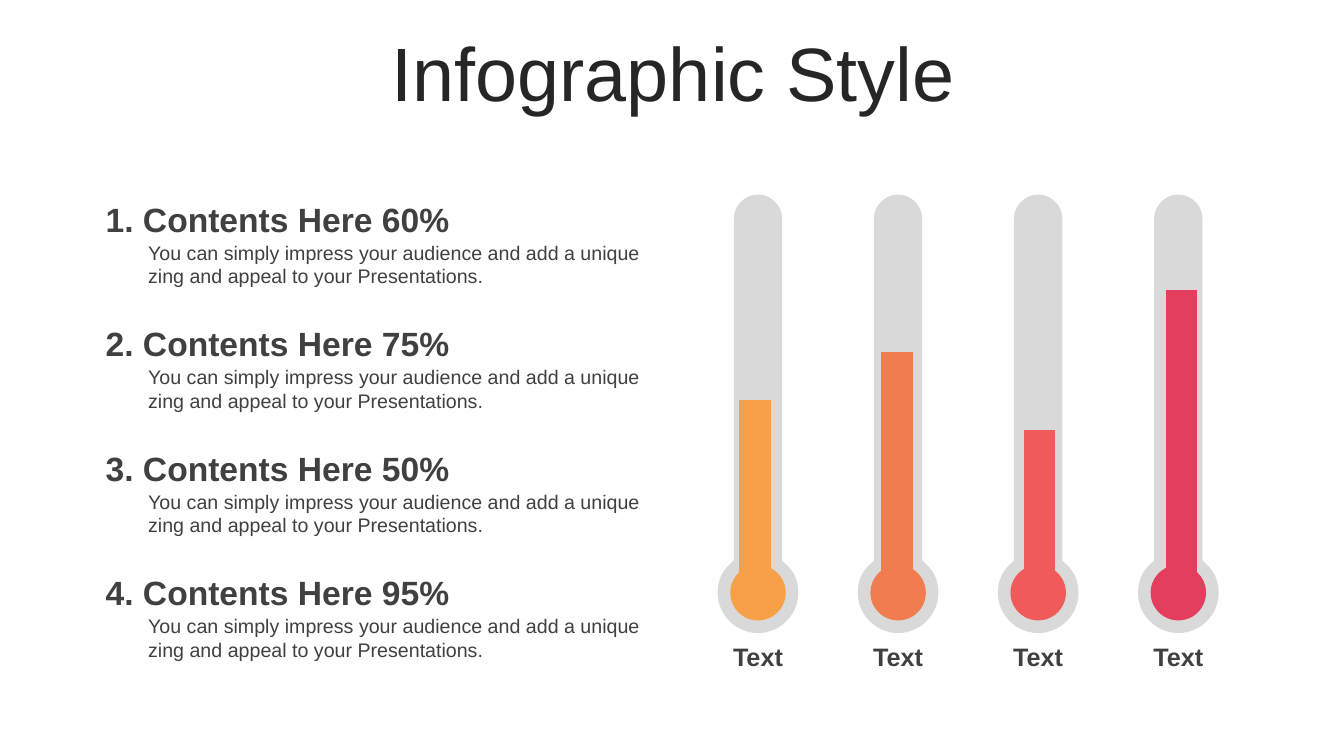
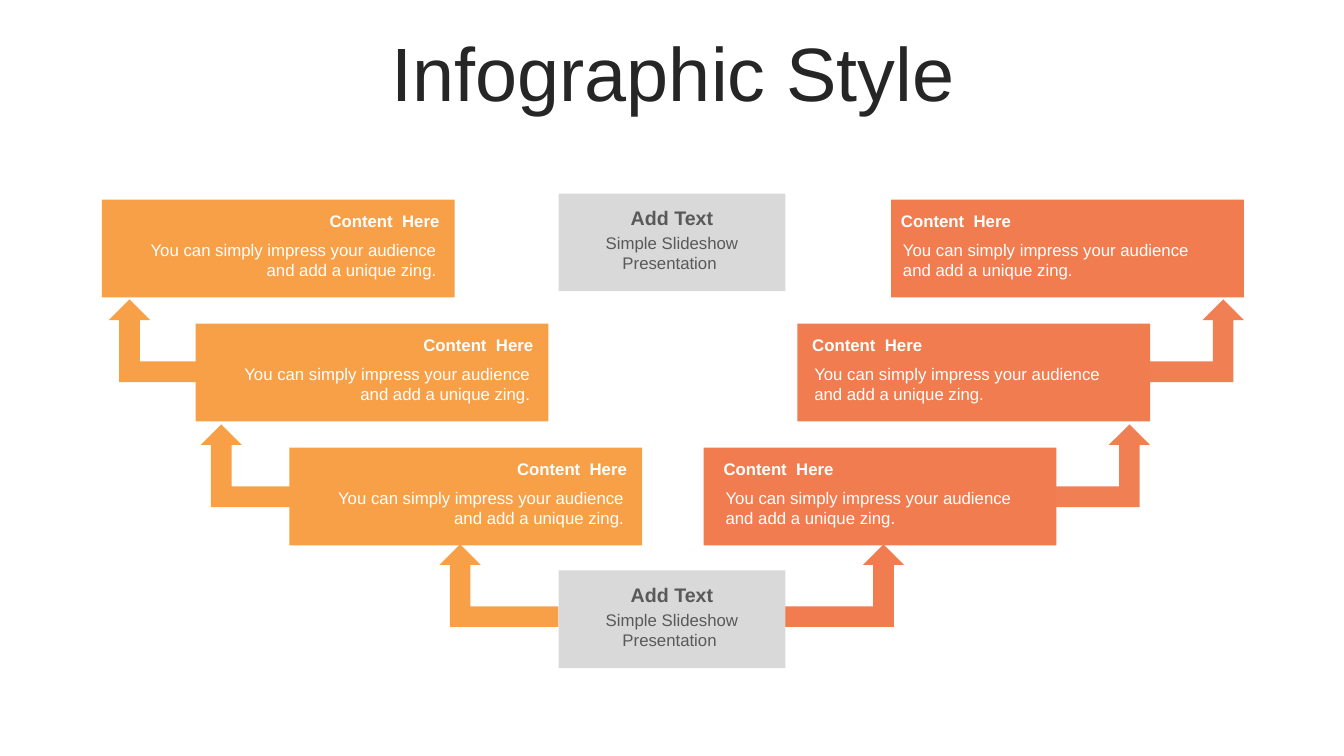
from lxml.etree import Element, SubElement
from pptx import Presentation
from pptx.chart.data import CategoryChartData
from pptx.dml.color import RGBColor
from pptx.enum.chart import XL_CHART_TYPE
from pptx.enum.shapes import MSO_SHAPE
from pptx.enum.text import MSO_ANCHOR, MSO_AUTO_SIZE, PP_ALIGN
from pptx.oxml import parse_xml
from pptx.oxml.ns import nsdecls, qn
from pptx.util import Inches, Pt

SLIDE_W, SLIDE_H = 40 / 3, 7.5
FONT = "Arial"
WHITE = RGBColor(0xFF, 0xFF, 0xFF)
INK = RGBColor(0x26, 0x26, 0x26)
DARK = RGBColor(0x40, 0x40, 0x40)
MID = RGBColor(0x59, 0x59, 0x59)
GREY = RGBColor(0xD9, 0xD9, 0xD9)
AMBER = RGBColor(0xF8, 0xA0, 0x47)
ORANGE = RGBColor(0xF0, 0x7C, 0x4F)
CORAL = RGBColor(0xF0, 0x5A, 0x59)
CRIMSON = RGBColor(0xE4, 0x3E, 0x5F)

TITLE = "Infographic Style"

# Thermometers
GAUGES = [("1. Contents Here 60%", 63, AMBER), ("2. Contents Here 75%", 79, ORANGE),
          ("3. Contents Here 50%", 53, CORAL), ("4. Contents Here 95%", 100, CRIMSON)]
GAUGE_NOTE = ("You can simply impress your audience and add a unique zing "
              "and appeal to your Presentations.")
GAUGE_LABEL = "Text"
NOTE_TOP, NOTE_STEP = 1.92, 1.235
GAUGE_X, GAUGE_STEP = 7.52, 1.39
BULB_Y, MERCURY_R = 5.88, 0.275
# Right half of the tube from top to bottom: three points make a curve, one a line
TUBE_TOP = (0, 1.93)
TUBE_HALF = [
    [(0.13, 1.93), (0.24, 2.04), (0.24, 2.17)],
    [(0.24, 5.56)],
    [(0.28, 5.6)],
    [(0.36, 5.67), (0.4, 5.77), (0.4, 5.88)],
    [(0.4, 6.1), (0.22, 6.28), (0, 6.28)],
]

# Staircase
CARD_HEAD = "Content  Here"
CARD_NOTE = "You can simply impress your audience and add a unique zing."
HUB_HEAD = "Add Text"
HUB_NOTE = "Simple Slideshow Presentation "
CARD_W, CARD_H, CARD_TOP = 3.5, 0.97, 1.98
STEP_X, STEP_Y, STEPS = 0.93, 1.23, 3
HUB_W, HUB_TOPS = 2.25, (1.92, 5.66)
ARROW_W, ARROW_H = 1.18, 0.82
ARROW_TOPS = (2.97, 4.21, 5.4)
SIDES = [
    dict(color=AMBER, left=1.01, step=STEP_X, align=PP_ALIGN.RIGHT, shift=(0.05, 0),
         arrows=(1.08, 1.99, 4.36), flip=True, alphas=(100, 100, 100)),
    dict(color=ORANGE, left=8.84, step=-STEP_X, align=PP_ALIGN.LEFT, shift=(0, 0.05),
         arrows=(11.16, 10.23, 7.79), flip=False, alphas=(97, 97, 100)),
]


def style(font, **values):
    color = values.pop("color")
    for name, value in dict(name=FONT, **values).items():
        setattr(font, name, value)
    font.color.rgb = color


def paint(sp, color):
    sp.shadow.inherit = False
    sp.fill.solid()
    sp.fill.fore_color.rgb = color
    sp.line.fill.background()
    return sp


def add_titled_slide(prs):
    slide = prs.slides.add_slide(prs.slide_layouts[5])
    title = slide.shapes.title
    box = dict(left=0.35, top=0.37, width=12.66, height=0.79)
    for name, value in box.items():
        setattr(title, name, Inches(value))
    tf = title.text_frame
    tf.text = TITLE
    tf.auto_size = MSO_AUTO_SIZE.NONE
    tf.vertical_anchor = MSO_ANCHOR.MIDDLE
    p = tf.paragraphs[0]
    p.alignment, p.line_spacing = PP_ALIGN.CENTER, 0.9
    style(p.runs[0].font, size=Pt(54), color=INK)
    return slide


def add_text(slide, box, text, size, color, bold=False, align=PP_ALIGN.LEFT, inset=0.1):
    tf = slide.shapes.add_textbox(*map(Inches, box)).text_frame
    tf.word_wrap = True
    tf.margin_left = tf.margin_right = Inches(inset)
    p = tf.paragraphs[0]
    p.alignment = align
    r = p.add_run()
    r.text = text
    style(r.font, size=Pt(size), bold=bold, color=color)


def add_shape(slide, kind, box, color):
    return paint(slide.shapes.add_shape(kind, *map(Inches, box)), color)


def bend(sp, counts):
    """Join each run of three line points of a freeform into one curve."""
    lines = iter(list(sp.element.iter(qn("a:lnTo"))))
    for count in counts:
        group = [next(lines) for _ in range(count)]
        if count == 3:
            curve = Element(qn("a:cubicBezTo"))
            group[0].addprevious(curve)
            for line in group:
                curve.append(line[0])
                line.getparent().remove(line)


def add_thermometer(slide, cx, color):
    """Draw a round-capped tube that runs into a bulb, with a coloured core."""
    right = [TUBE_TOP] + [point for part in TUBE_HALF for point in part]
    left = [(-x, y) for x, y in reversed(right[:-1])]
    points = [(Inches(cx + x), Inches(y)) for x, y in right + left]
    outline = slide.shapes.build_freeform(*points[0])
    outline.add_line_segments(points[1:], close=True)
    tube = paint(outline.convert_to_shape(), GREY)
    counts = [len(part) for part in TUBE_HALF]
    bend(tube, counts + counts[::-1])
    core = (cx - MERCURY_R, BULB_Y - MERCURY_R, 2 * MERCURY_R, 2 * MERCURY_R)
    add_shape(slide, MSO_SHAPE.OVAL, core, color)


def add_mercury_chart(slide):
    data = CategoryChartData()
    data.categories = [str(n + 1) for n in range(len(GAUGES))]
    data.add_series("Series 1", [value for _, value, _ in GAUGES])
    box = map(Inches, (SLIDE_W / 2, 2.65, 5.88, 3.22))
    chart = slide.shapes.add_chart(XL_CHART_TYPE.COLUMN_CLUSTERED, *box, data).chart
    chart.has_legend = chart.has_title = False
    style(chart.font, size=Pt(10), color=RGBColor(0, 0, 0))
    axis = chart.value_axis
    axis.minimum_scale, axis.maximum_scale = 0, 100
    axis.has_major_gridlines = False
    axis.visible = chart.category_axis.visible = False

    plot = chart.plots[0]
    plot.gap_width, plot.vary_by_categories = 350, False
    for n, (_, _, color) in enumerate(GAUGES):
        fill = plot.series[0].points[n].format.fill
        fill.solid()
        fill.fore_color.rgb = color

    area = chart.element.find(".//" + qn("c:plotArea"))
    for old in area.findall(qn("c:layout")):
        area.remove(old)
    places = (("layoutTarget", "inner"), ("xMode", "edge"), ("yMode", "edge"),
              ("x", 0.02), ("y", 0.07), ("w", 0.96), ("h", 0.92))
    items = "".join(f'<c:{tag} val="{value}"/>' for tag, value in places)
    area.insert(0, parse_xml(f"<c:layout {nsdecls('c')}><c:manualLayout>{items}"
                             "</c:manualLayout></c:layout>"))


def build_thermometers(prs):
    slide = add_titled_slide(prs)
    for n, (heading, _, color) in enumerate(GAUGES):
        cx, top = GAUGE_X + n * GAUGE_STEP, NOTE_TOP + n * NOTE_STEP
        add_thermometer(slide, cx, color)
        add_text(slide, (1.39, top + 0.42, 5.27, 0.57), GAUGE_NOTE, 14, DARK, inset=0.08)
        add_text(slide, (0.95, top, 5.72, 0.5), heading, 24, DARK, True)
        add_text(slide, (cx - 0.35, 6.31, 0.7, 0.4), GAUGE_LABEL, 18, DARK, True,
                 PP_ALIGN.CENTER, inset=0.05)
    add_mercury_chart(slide)


def add_arrow(slide, left, top, color, flip, alpha):
    box = (left, top, ARROW_W, ARROW_H)
    sp = add_shape(slide, MSO_SHAPE.BENT_UP_ARROW, box, color)
    if flip:
        sp.element.spPr.find(qn("a:xfrm")).set("flipH", "1")
    if alpha < 100:
        rgb = sp.element.spPr.find(qn("a:solidFill"))[0]
        SubElement(rgb, qn("a:alpha")).set("val", str(alpha * 1000))


def build_staircase(prs):
    slide = add_titled_slide(prs)
    for side in SIDES:
        color, align = side["color"], side["align"]
        for n in range(STEPS):
            left, top = side["left"] + n * side["step"], CARD_TOP + n * STEP_Y
            add_shape(slide, MSO_SHAPE.RECTANGLE, (left, top, CARD_W, CARD_H), color)
            base, per_step = side["shift"]
            x = left + base + n * per_step
            add_text(slide, (x, top + 0.06, 3.4, 0.3), CARD_HEAD, 12, WHITE, True, align)
            add_text(slide, (x + 0.02, top + 0.35, 3.35, 0.5), CARD_NOTE, 12, WHITE,
                     align=align)
            add_arrow(slide, side["arrows"][n], ARROW_TOPS[n], color, side["flip"],
                      side["alphas"][n])
    hub_left = (SLIDE_W - HUB_W) / 2
    for top in HUB_TOPS:
        add_shape(slide, MSO_SHAPE.RECTANGLE, (hub_left, top, HUB_W, CARD_H), GREY)
        for dy, height, text, size, bold in ((0.07, 0.34, HUB_HEAD, 14, True),
                                             (0.34, 0.5, HUB_NOTE, 12, False)):
            add_text(slide, (hub_left, top + dy, HUB_W, height), text, size, MID, bold,
                     PP_ALIGN.CENTER)


def main():
    prs = Presentation()
    prs.slide_width, prs.slide_height = Inches(SLIDE_W), Inches(SLIDE_H)
    build_thermometers(prs)
    build_staircase(prs)
    prs.save("out.pptx")


if __name__ == "__main__":
    main()
